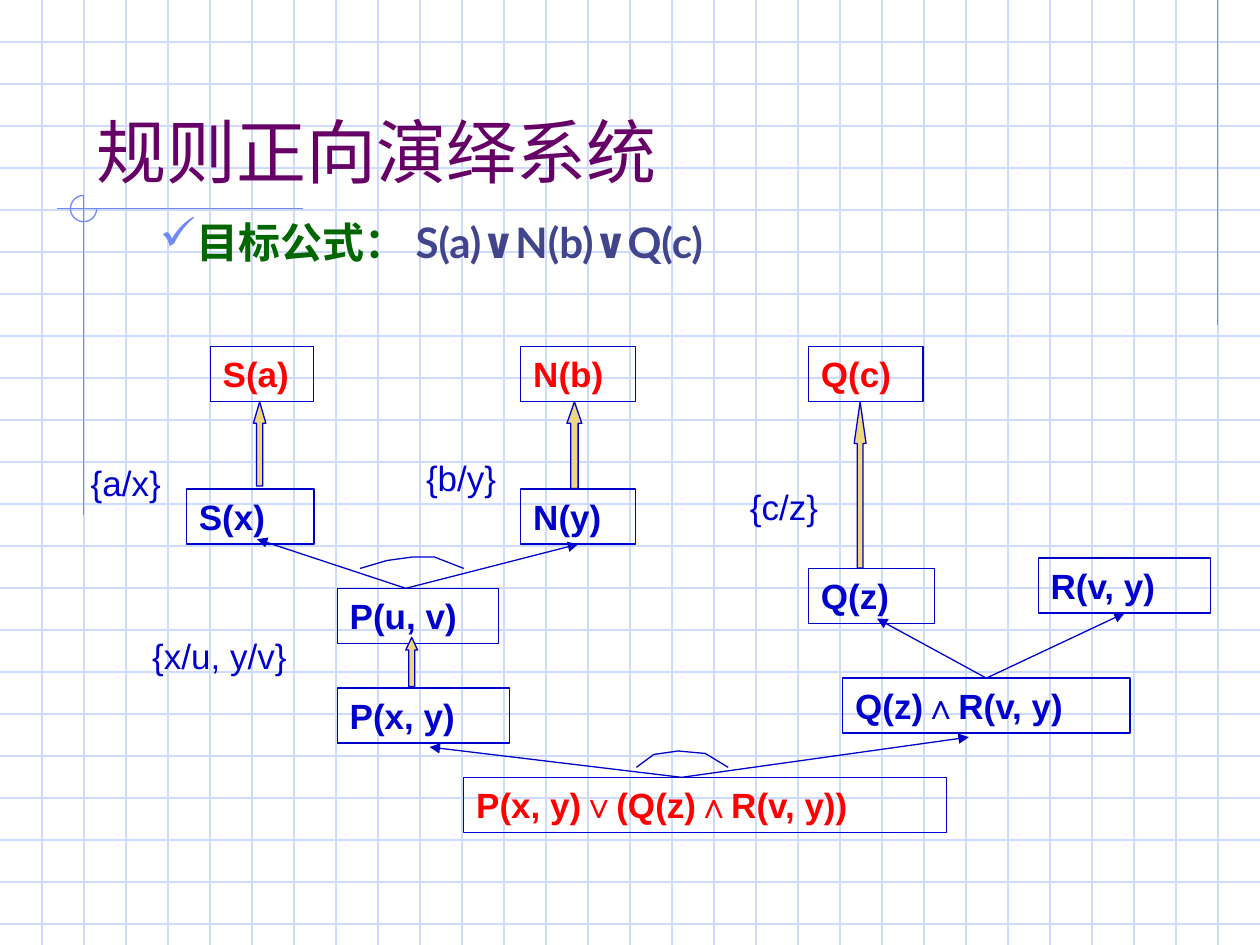
from typing import NamedTuple, Optional

from lxml import etree
from pptx import Presentation
from pptx import util as u
from pptx.dml.color import RGBColor
from pptx.enum import shapes, text
from pptx.oxml import ns

Cm = u.Cm

GRID_BLUE = RGBColor(0xCF, 0xDB, 0xFD)
ACCENT_BLUE = RGBColor(0x6F, 0x89, 0xF7)
INK_BLUE = RGBColor(0x00, 0x00, 0xCC)
RED = RGBColor(0xFF, 0x00, 0x00)
PURPLE = RGBColor(0x66, 0x00, 0x66)
GREEN = RGBColor(0x00, 0x66, 0x00)
SLATE = RGBColor(0x40, 0x45, 0x8C)
GOLD = RGBColor(0xEC, 0xD8, 0x82)

WIDTH, HEIGHT = 25.4, 19.05
GRID_STEP = WIDTH / 30
BOX_HEIGHT = 1.11


class Node(NamedTuple):
    caption: str
    left: float
    top: float
    width: float
    color: RGBColor = INK_BLUE


class Label(NamedTuple):
    caption: str
    left: float
    top: float
    width: float
    inset: float = 0.64


class Branch(NamedTuple):
    start: tuple[float, float]
    end: tuple[float, float]
    source: Optional[str] = None
    target: Optional[str] = None


class Match(NamedTuple):
    left: float
    top: float
    width: float
    height: float
    head: float


NODES = [
    Node("S(a)", 4.24, 6.98, 2.08, RED),
    Node("N(b)", 10.5, 6.98, 2.31, RED),
    Node("Q(c)", 16.3, 6.98, 2.31, RED),
    Node("S(x)", 3.76, 9.86, 2.57),
    Node("N(y)", 10.5, 9.86, 2.31),
    Node("P(u, v)", 6.8, 11.86, 3.25),
    Node("P(x, y)", 6.8, 13.87, 3.48),
    Node("Q(z)", 16.3, 11.46, 2.54),
    Node("R(v, y)", 20.93, 11.25, 3.48),
    Node("Q(z)∧R(v, y)", 16.99, 13.67, 5.79),
    Node("P(x, y)∨(Q(z)∧R(v, y))", 9.35, 15.67, 9.73, RED),
]
BRANCHES = [
    Branch((13.74, 15.67), (8.66, 15.06)),
    Branch((13.74, 15.67), (19.53, 14.86)),
    Branch((19.76, 13.67), (17.68, 12.47), source="Q(z)∧R(v, y)"),
    Branch((19.76, 13.67), (22.56, 12.47), source="Q(z)∧R(v, y)", target="R(v, y)"),
    Branch((8.18, 11.86), (5.18, 10.87)),
    Branch((8.18, 11.86), (11.66, 11.07), target="N(y)"),
]
MATCHES = [
    Match(8.18, 12.85, 0.24, 0.99, 1.07),
    Match(17.22, 8.1, 0.24, 3.35, 3.5),
    Match(5.11, 8.1, 0.25, 1.7, 1.73),
    Match(11.43, 8.1, 0.3, 1.75, 1.45),
]
ARCS = [
    [(12.83, 15.47), (13.18, 15.21), (13.67, 15.14), (14.22, 15.19), (14.68, 15.47)],
    [(7.26, 11.46), (7.8, 11.3), (8.31, 11.23), (8.76, 11.23), (9.35, 11.46)],
]
LABELS = [
    Label("{a/x}", 1.19, 9.17, 2.31),
    Label("{b/y}", 7.95, 9.07, 2.31),
    Label("{c/z}", 14.48, 9.65, 2.51),
    Label("{x/u, y/v}", 2.62, 12.67, 3.71, 0.45),
]


def write(paragraph, content: str, *, size: float = 20, color: RGBColor = INK_BLUE,
          bold: bool = False, font: str = "Arial") -> None:
    paragraph.alignment = text.PP_ALIGN.LEFT
    run = paragraph.add_run()
    run.text = content
    run.font.name = font
    run.font.size = u.Pt(size)
    run.font.bold = bold
    run.font.color.rgb = color


def set_frame(shape, anchor=text.MSO_ANCHOR.TOP, left: float = 0.25, right: float = 0.25):
    frame = shape.text_frame
    frame.auto_size = text.MSO_AUTO_SIZE.NONE
    frame.word_wrap = True
    frame.vertical_anchor = anchor
    frame.margin_left, frame.margin_right = Cm(left), Cm(right)
    frame.margin_top = frame.margin_bottom = Cm(0.13)
    return frame.paragraphs[0]


def outline(shape, color: RGBColor = INK_BLUE, fill: Optional[RGBColor] = None) -> None:
    shape.shadow.inherit = False
    shape.line.color.rgb = color
    shape.line.width = u.Pt(0.75)
    if fill is None:
        shape.fill.background()
    else:
        shape.fill.solid()
        shape.fill.fore_color.rgb = fill


def draw_line(slide, start: tuple[float, float], end: tuple[float, float],
              color: RGBColor, arrow: bool = False):
    line = slide.shapes.add_connector(
        shapes.MSO_CONNECTOR.STRAIGHT, *(Cm(value) for value in (*start, *end)))
    line.line.color.rgb = color
    line.line.width = u.Pt(0.75)
    properties = line.element.spPr
    if arrow:
        etree.SubElement(properties.find(ns.qn("a:ln")), ns.qn("a:tailEnd"), type="triangle")
    etree.SubElement(properties, ns.qn("a:effectLst"))
    return line


def draw_background(slide) -> None:
    for row in range(1, 23):
        draw_line(slide, (0, row * GRID_STEP), (WIDTH, row * GRID_STEP), GRID_BLUE)
    for column in range(1, 30):
        draw_line(slide, (column * GRID_STEP, 0), (column * GRID_STEP, HEIGHT), GRID_BLUE)
    draw_line(slide, (24.55, 0), (24.55, 6.55), ACCENT_BLUE)
    draw_line(slide, (6.1, 4.21), (1.14, 4.21), ACCENT_BLUE)
    draw_line(slide, (1.69, 3.94), (1.69, 10.39), ACCENT_BLUE)
    ring = slide.shapes.add_shape(
        shapes.MSO_SHAPE.ARC, Cm(1.42), Cm(3.94), Cm(0.53), Cm(0.53))
    ring.adjustments[0], ring.adjustments[1] = 0, 162
    outline(ring, ACCENT_BLUE)


def draw_node(slide, node: Node):
    box = slide.shapes.add_shape(shapes.MSO_SHAPE.RECTANGLE, Cm(node.left), Cm(node.top),
                                 Cm(node.width), Cm(BOX_HEIGHT))
    outline(box)
    write(set_frame(box), node.caption, color=node.color, bold=True)
    return box


def draw_branch(slide, branch: Branch, boxes: dict) -> None:
    line = draw_line(slide, branch.start, branch.end, INK_BLUE, arrow=True)
    if branch.source:
        line.begin_connect(boxes[branch.source], 0)
    if branch.target:
        line.end_connect(boxes[branch.target], 2)


def draw_match(slide, match: Match) -> None:
    arrow = slide.shapes.add_shape(shapes.MSO_SHAPE.UP_ARROW, Cm(match.left), Cm(match.top),
                                   Cm(match.width), Cm(match.height))
    arrow.adjustments[0], arrow.adjustments[1] = 0.5, match.head
    outline(arrow, fill=GOLD)


def draw_arc(slide, points: list[tuple[float, float]]) -> None:
    first, *rest = [(Cm(x), Cm(y)) for x, y in points]
    builder = slide.shapes.build_freeform(*first)
    builder.add_line_segments(rest, close=False)
    outline(builder.convert_to_shape())


def draw_label(slide, label: Label) -> None:
    box = slide.shapes.add_textbox(Cm(label.left), Cm(label.top), Cm(label.width), Cm(BOX_HEIGHT))
    write(set_frame(box, left=label.inset, right=0), label.caption)


def draw_goal(slide) -> None:
    box = slide.shapes.add_textbox(Cm(2.21), Cm(4.24), Cm(13.56), Cm(1.27))
    paragraph = set_frame(box)
    properties = paragraph._p.get_or_add_pPr()
    properties.set("marL", str(Cm(1.47)))
    properties.set("indent", str(-Cm(0.71)))
    bullet_color = etree.SubElement(properties, ns.qn("a:buClr"))
    etree.SubElement(bullet_color, ns.qn("a:srgbClr"), val=str(ACCENT_BLUE))
    etree.SubElement(properties, ns.qn("a:buSzPct"), val="110000")
    etree.SubElement(properties, ns.qn("a:buChar"), char="✓")
    write(paragraph, "目标公式： ", size=24, color=GREEN, bold=True, font="Lato")
    write(paragraph, "S(a)∨N(b)∨Q(c)", size=24, color=SLATE, bold=True, font="Lato")


def main() -> None:
    presentation = Presentation()
    presentation.slide_width, presentation.slide_height = Cm(WIDTH), Cm(HEIGHT)
    slide = presentation.slides.add_slide(presentation.slide_layouts[5])
    draw_background(slide)

    title = slide.shapes.title
    title.left, title.top, title.width, title.height = Cm(1.7), Cm(0.84), Cm(21.59), Cm(3.18)
    write(set_frame(title, text.MSO_ANCHOR.BOTTOM), "规则正向演绎系统",
          size=40, color=PURPLE, font="Lato")
    title.element.getparent().append(title.element)

    boxes = {node.caption: draw_node(slide, node) for node in NODES}
    for branch in BRANCHES:
        draw_branch(slide, branch, boxes)
    for match in MATCHES:
        draw_match(slide, match)
    for points in ARCS:
        draw_arc(slide, points)
    for label in LABELS:
        draw_label(slide, label)
    draw_goal(slide)
    presentation.save("out.pptx")


if __name__ == "__main__":
    main()
